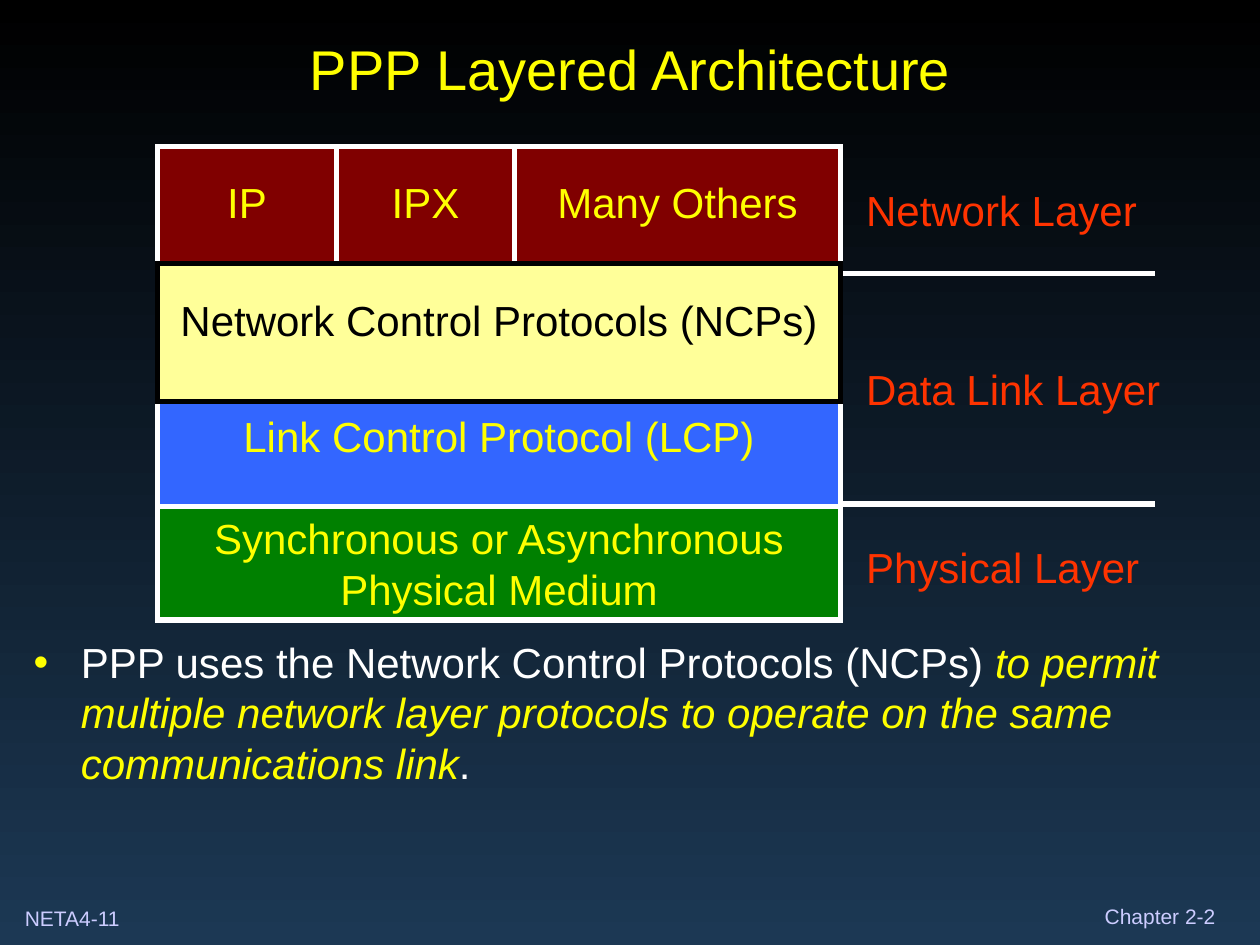
"""Build a slide showing the layered architecture of PPP."""
from lxml.etree import SubElement
from pptx import Presentation
from pptx.dml.color import RGBColor
from pptx.enum.shapes import MSO_CONNECTOR, MSO_SHAPE
from pptx.enum.text import MSO_ANCHOR, PP_ALIGN
from pptx.oxml.ns import qn
from pptx.util import Cm, Pt

WHITE, BLACK, YELLOW = "FFFFFF", "000000", "FFFF00"
ORANGE, LAVENDER = "FF3300", "CCCCFF"
BACKGROUND = [(0, BLACK), (1, "1C3854")]

STACK_LEFT, STACK_WIDTH = 3.18, 13.76
STACK_RIGHT = STACK_LEFT + STACK_WIDTH
PROTOCOL_TOP, PROTOCOL_HEIGHT = 2.95, 2.77
PROTOCOLS = [("IP", 3.6), ("IPX", 3.6), ("Many Others", 6.56)]
LAYERS = [
    ("Link Control Protocol (LCP)", 7.62, 2.79, "3366FF", WHITE, YELLOW, 0.46),
    ("Synchronous or Asynchronous\nPhysical Medium", 10.21, 2.29, "008000", WHITE, YELLOW, 0),
    ("Network Control Protocols (NCPs)", 5.31, 2.79, "FFFF99", BLACK, BLACK, 0.5),
]
LABELS = [("Network Layer", 3.6), ("Data Link Layer", 7.19), ("Physical Layer", 10.79)]
DIVIDERS = [5.51, 10.16]
DIVIDER_LENGTH = 6.35
SUMMARY = [
    ("PPP uses the Network Control Protocols (NCPs) ", WHITE, False),
    ("to permit multiple network layer protocols to operate on the same communications link",
     YELLOW, True),
    (".", WHITE, False),
]


def color(value):
    return RGBColor.from_string(value)


def write(shape, text, size=24, ink=YELLOW, align=PP_ALIGN.LEFT, anchor=MSO_ANCHOR.TOP,
          insets=(0, 0.13, 0, 0.13), bullet=None):
    frame = shape.text_frame
    frame.word_wrap = True
    frame.vertical_anchor = anchor
    frame.margin_left, frame.margin_top, frame.margin_right, frame.margin_bottom = map(Cm, insets)
    paragraph = frame.paragraphs[0]
    paragraph.alignment = align
    if bullet:
        properties = paragraph._p.get_or_add_pPr()
        properties.set("marL", str(Cm(0.95)))
        properties.set("indent", str(-Cm(0.95)))
        bullet_color = SubElement(properties, qn("a:buClr"))
        SubElement(bullet_color, qn("a:srgbClr"), val=bullet)
        SubElement(properties, qn("a:buFont"), typeface="Arial")
        SubElement(properties, qn("a:buChar"), char="•")
    pieces = [(text, ink, False)] if isinstance(text, str) else text
    for words, piece_ink, italic in pieces:
        for number, line in enumerate(words.split("\n")):
            if number:
                paragraph.add_line_break()
            run = paragraph.add_run()
            run.text = line
            run.font.name = "Arial"
            run.font.size = Pt(size)
            run.font.italic = italic
            run.font.color.rgb = color(piece_ink)


def add_text(slide, text, left, top, width, height, **style):
    write(slide.shapes.add_textbox(Cm(left), Cm(top), Cm(width), Cm(height)), text, **style)


def add_block(slide, text, left, top, width, height, fill, border, ink, lift):
    shape = slide.shapes.add_shape(
        MSO_SHAPE.RECTANGLE, Cm(left), Cm(top), Cm(width), Cm(height))
    shape.shadow.inherit = False
    shape.fill.solid()
    shape.fill.fore_color.rgb = color(fill)
    shape.line.color.rgb = color(border)
    shape.line.width = Pt(3)
    SubElement(shape._element.spPr.find(qn("a:ln")), qn("a:miter"), lim="800000")
    write(shape, text, ink=ink, align=PP_ALIGN.CENTER, anchor=MSO_ANCHOR.MIDDLE,
          insets=(0, 0, 0, lift))


def add_divider(slide, top):
    line = slide.shapes.add_connector(
        MSO_CONNECTOR.STRAIGHT, Cm(STACK_RIGHT), Cm(top),
        Cm(STACK_RIGHT + DIVIDER_LENGTH), Cm(top))
    line.line.color.rgb = color(WHITE)
    line.line.width = Pt(3)
    SubElement(line._element.spPr, qn("a:effectLst"))


def main():
    presentation = Presentation()
    presentation.slide_width, presentation.slide_height = Cm(25.4), Cm(19.05)
    slide = presentation.slides.add_slide(presentation.slide_layouts[6])
    fill = slide.background.fill
    fill.gradient()
    fill.gradient_angle = 270
    for stop, (position, value) in zip(fill.gradient_stops, BACKGROUND):
        stop.position = position
        stop.color.rgb = color(value)

    add_text(slide, "NETA4-11", 0, 18.12, 2.97, 0.76, size=12, ink=LAVENDER,
             insets=(0.5, 0.13, 0, 0.13))
    add_text(slide, "Chapter 2-2", 22.27, 18.22, 2.5, 0.5, size=12, ink=LAVENDER,
             insets=(0, 0, 0, 0))
    add_text(slide, "PPP Layered Architecture", 0.43, 0.43, 24.56, 1.9, size=32,
             align=PP_ALIGN.CENTER, anchor=MSO_ANCHOR.MIDDLE)

    for top in DIVIDERS:
        add_divider(slide, top)
    left = STACK_LEFT
    for name, width in PROTOCOLS:
        add_block(slide, name, left, PROTOCOL_TOP, width, PROTOCOL_HEIGHT,
                  "800000", WHITE, YELLOW, 0.54)
        left += width
    for name, top, height, *style in LAYERS:
        add_block(slide, name, STACK_LEFT, top, STACK_WIDTH, height, *style)
    for name, top in LABELS:
        add_text(slide, name, 17.46, top, 6.15, 1.27, ink=ORANGE)
    add_text(slide, SUMMARY, 0.43, 12.7, 24.56, 5.92, bullet=YELLOW,
             insets=(0.25, 0.13, 0.25, 0.13))
    presentation.save("out.pptx")


if __name__ == "__main__":
    main()
